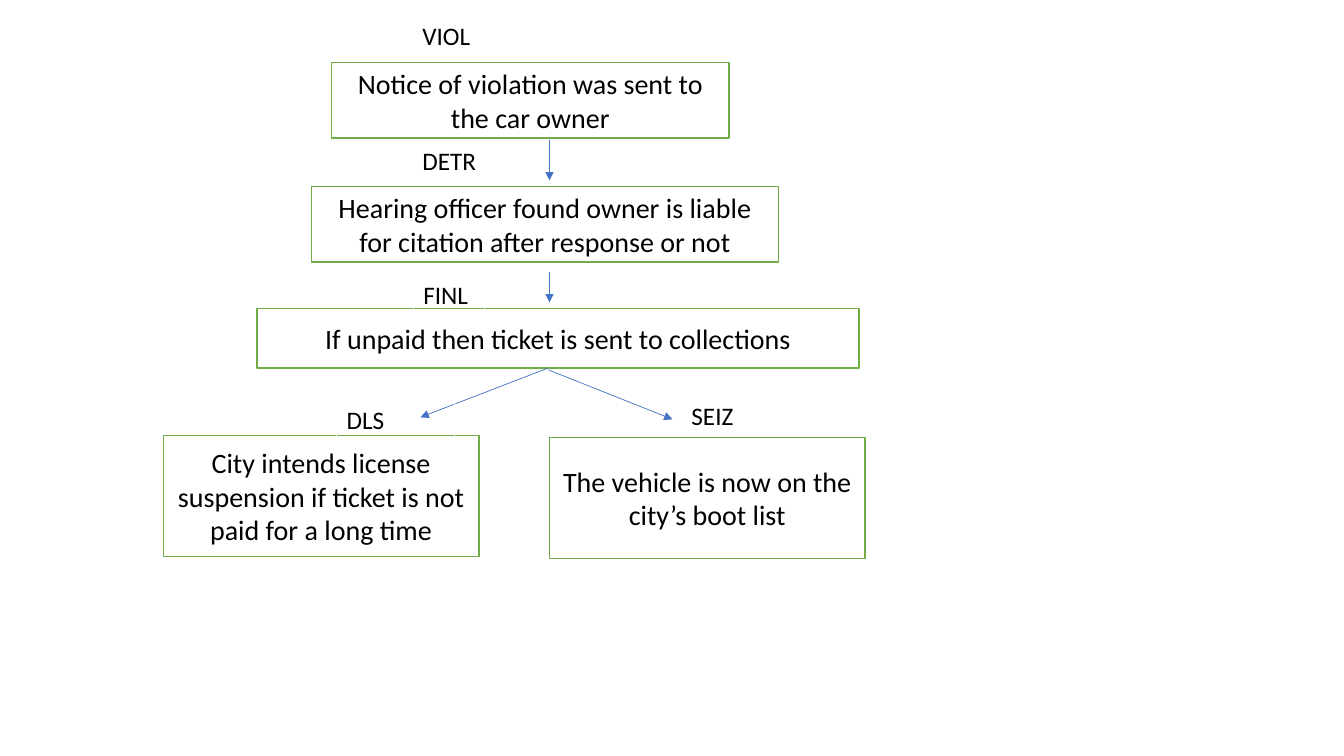
"""Build the flowchart slide of parking ticket notice levels."""
from lxml import etree
from pptx import Presentation
from pptx import util as u
from pptx.dml.color import RGBColor
from pptx.enum import shapes, text
from pptx.oxml import ns

THEME = {
    "font": "Calibri",
    "text": RGBColor(0x00, 0x00, 0x00),
    "paper": RGBColor(0xFF, 0xFF, 0xFF),
    "border": RGBColor(0x70, 0xAD, 0x47),
    "arrow": RGBColor(0x44, 0x72, 0xC4),
    "step_size": 20,
    "label_size": 18,
    "border_width": 1,
    "label_width": 0.75,
    "arrow_width": 0.5,
}

STEPS = [
    ("Notice of violation was sent to the car owner", (3.29, 0.62, 3.94, 0.75)),
    ("Hearing officer found owner is liable for citation after response or not",
     (3.09, 1.85, 4.63, 0.75)),
    ("If unpaid then ticket is sent to collections", (2.55, 3.06, 5.97, 0.59)),
    ("City intends license suspension if ticket is not paid for a long time",
     (1.62, 4.32, 3.13, 1.2)),
    ("The vehicle is now on the city’s boot list", (5.45, 4.34, 3.13, 1.2)),
]

ARROWS = [
    (5.45, 1.39, 5.45, 1.79),
    (5.45, 2.7, 5.45, 3),
    (5.44, 3.67, 6.67, 4.16),
    (5.44, 3.65, 4.17, 4.14),
]

LABELS = [
    ("VIOL", (4.09, 0.15, 1.17, 0.4)),
    ("DETR", (4.09, 1.39, 1.17, 0.4)),
    ("FINL", (4.1, 2.72, 0.71, 0.4)),
    ("DLS", (3.34, 3.96, 1.17, 0.4)),
    ("SEIZ", (6.76, 3.92, 1.17, 0.4)),
]


def inches(values):
    return [u.Inches(value) for value in values]


def style_line(line, color, width):
    line.color.rgb = color
    line.width = u.Pt(width)


def write(shape, words, size, alignment):
    frame = shape.text_frame
    frame.word_wrap = True
    frame.text = words
    paragraph = frame.paragraphs[0]
    paragraph.alignment = alignment
    font = paragraph.runs[0].font
    font.name = THEME["font"]
    font.size = u.Pt(size)
    font.color.rgb = THEME["text"]


def add_step(slide, words, box):
    shape = slide.shapes.add_shape(shapes.MSO_SHAPE.RECTANGLE, *inches(box))
    shape.shadow.inherit = False
    shape.fill.solid()
    shape.fill.fore_color.rgb = THEME["paper"]
    style_line(shape.line, THEME["border"], THEME["border_width"])
    write(shape, words, THEME["step_size"], text.PP_ALIGN.CENTER)
    shape.text_frame.vertical_anchor = text.MSO_ANCHOR.MIDDLE


def add_arrow(slide, ends):
    connector = slide.shapes.add_connector(
        shapes.MSO_CONNECTOR.STRAIGHT, *inches(ends))
    style_line(connector.line, THEME["arrow"], THEME["arrow_width"])
    properties = connector._element.spPr
    outline = properties.find(ns.qn("a:ln"))
    etree.SubElement(outline, ns.qn("a:tailEnd"), type="triangle")
    etree.SubElement(properties, ns.qn("a:effectLst"))


def add_label(slide, words, box):
    shape = slide.shapes.add_textbox(*inches(box))
    style_line(shape.line, THEME["paper"], THEME["label_width"])
    write(shape, words, THEME["label_size"], text.PP_ALIGN.LEFT)
    shape.text_frame.auto_size = text.MSO_AUTO_SIZE.SHAPE_TO_FIT_TEXT


def main():
    presentation = Presentation()
    presentation.slide_width, presentation.slide_height = inches((13.33, 7.5))
    blank_layout = presentation.slide_layouts[6]
    slide = presentation.slides.add_slide(blank_layout)
    for words, box in STEPS:
        add_step(slide, words, box)
    for ends in ARROWS:
        add_arrow(slide, ends)
    for words, box in LABELS:
        add_label(slide, words, box)
    presentation.save("out.pptx")


if __name__ == "__main__":
    main()
